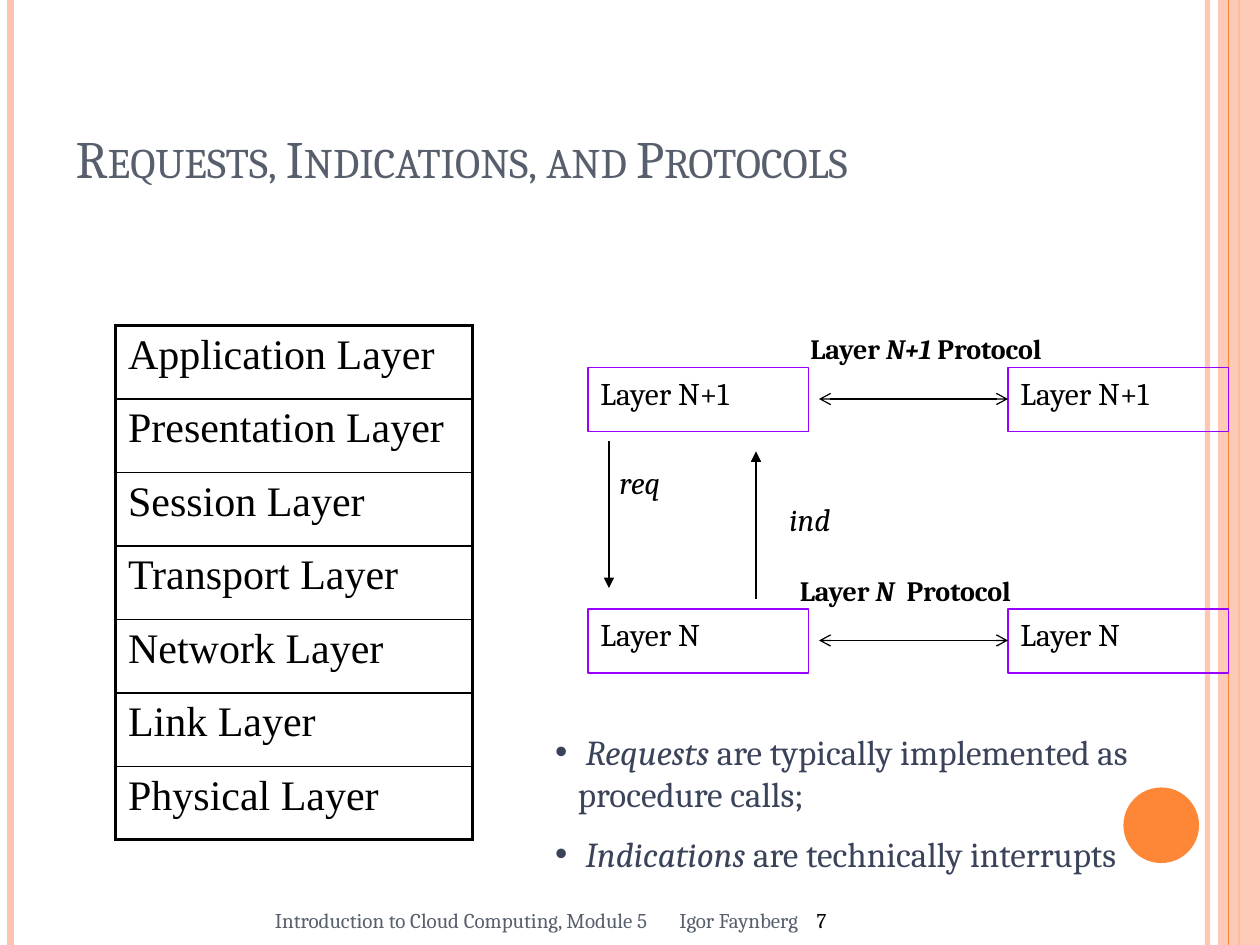
"""Build the slide on requests, indications and protocols between layers."""
from lxml import etree
from pptx import Presentation
from pptx.dml.color import RGBColor
from pptx.enum.shapes import MSO_CONNECTOR, MSO_SHAPE
from pptx.enum.text import MSO_ANCHOR, MSO_AUTO_SIZE, PP_ALIGN
from pptx.oxml.ns import qn
from pptx.util import Inches, Pt

RECT, OVAL, STRAIGHT = MSO_SHAPE.RECTANGLE, MSO_SHAPE.OVAL, MSO_CONNECTOR.STRAIGHT
TOP, MIDDLE, BOTTOM = MSO_ANCHOR.TOP, MSO_ANCHOR.MIDDLE, MSO_ANCHOR.BOTTOM
LEFT, FIXED = PP_ALIGN.LEFT, MSO_AUTO_SIZE.NONE
BLACK = RGBColor(0x00, 0x00, 0x00)
PEACH = RGBColor(0xFE, 0xC3, 0xAE)
ORANGE = RGBColor(0xFE, 0x86, 0x37)
VIOLET = RGBColor(0x99, 0x00, 0xFF)
SLATE = RGBColor(0x57, 0x5F, 0x6D)
NAVY = RGBColor(0x3B, 0x43, 0x5B)
COLUMNS, ROWS = 120, 90


def grid(*units):
    """Turn grid units of a twelfth of an inch into lengths."""
    return [Inches(unit / 12) for unit in units]


def add_child(parent, tag, **attributes):
    """Append an XML element with the given attributes."""
    return etree.SubElement(parent, qn(tag), attributes)


def fade(fill, percent):
    """Set the opacity of a solid fill."""
    colour = fill._xPr.find(".//" + qn("a:srgbClr"))
    add_child(colour, "a:alpha", val=str(percent * 1000))


class LayerSlide:
    """Hold the style and the slide, and draw each kind of element."""

    font = "Cambria"

    def __init__(self, deck):
        self.slide = deck.slides.add_slide(deck.slide_layouts[1])
        self.shapes = self.slide.shapes

    def add_runs(self, paragraph, runs, size, colour=BLACK, bold=False, font=font):
        """Add (text, italic) runs to a paragraph."""
        paragraph.alignment = LEFT
        for text, italic in runs:
            run = paragraph.add_run()
            run.text = text
            run.font.name, run.font.size = font, Pt(size)
            run.font.bold, run.font.italic = bold, italic
            run.font.color.rgb = colour

    def place(self, holder, area, anchor):
        """Move a placeholder and return its text frame."""
        holder.left, holder.top, holder.width, holder.height = grid(*area)
        frame = holder.text_frame
        frame.auto_size, frame.vertical_anchor = FIXED, anchor
        return frame

    def title(self, text, area):
        paragraph = self.place(self.shapes.title, area, BOTTOM).paragraphs[0]
        self.add_runs(paragraph, [(text, False)], 30, SLATE)
        paragraph.runs[0].font._element.set("cap", "small")

    def bullets(self, items, area):
        frame = self.place(self.slide.placeholders[1], area, TOP)
        for index, runs in enumerate(items):
            paragraph = frame.add_paragraph() if index else frame.paragraphs[0]
            paragraph.space_before = Pt(10)
            properties = paragraph._p.get_or_add_pPr()
            properties.set("marL", str(Inches(0.32)))
            properties.set("indent", str(Inches(-0.18)))
            self.add_runs(paragraph, runs, 20, NAVY)

    def label(self, runs, area, size=18, bold=False, wrap=True):
        frame = self.shapes.add_textbox(*grid(*area)).text_frame
        frame.word_wrap = wrap
        self.add_runs(frame.paragraphs[0], runs, size, bold=bold)

    def footer(self, parts, stops, area):
        frame = self.shapes.add_textbox(*grid(*area)).text_frame
        frame.word_wrap, frame.vertical_anchor = True, MIDDLE
        paragraph = frame.paragraphs[0]
        for text, colour in parts:
            self.add_runs(paragraph, [(text, False)], 12, colour)
        tabs = add_child(paragraph._p.get_or_add_pPr(), "a:tabLst")
        for stop in stops:
            add_child(tabs, "a:tab", pos=str(Inches(stop)), algn="l")

    def shape(self, kind, area, fill=None, line=None, opacity=100):
        shape = self.shapes.add_shape(kind, *grid(*area))
        shape.shadow.inherit = False
        if fill is None:
            shape.fill.background()
        else:
            shape.fill.solid()
            shape.fill.fore_color.rgb = fill
            fade(shape.fill, opacity)
        if line is None:
            shape.line.fill.background()
        else:
            shape.line.color.rgb, shape.line.width = line, Pt(0.75)
        return shape

    def box(self, text, column, row):
        frame = self.shape(RECT, (column, row, 21, 6.1), line=VIOLET).text_frame
        frame.vertical_anchor = TOP
        self.add_runs(frame.paragraphs[0], [(text, False)], 18)

    def line(self, ends, colour=BLACK, width=0.75, opacity=100, head=None, tail=None):
        line = self.shapes.add_connector(STRAIGHT, *grid(*ends))
        line.line.color.rgb, line.line.width = colour, Pt(width)
        fade(line.line.fill, opacity)
        add_child(line._element.spPr, "a:effectLst")
        for tag, arrow in (("a:headEnd", head), ("a:tailEnd", tail)):
            if arrow:
                add_child(line.line._get_or_add_ln(), tag, type=arrow)

    def stack(self, names, area):
        """Draw a one-column table with a heavy frame."""
        table = self.shapes.add_table(len(names), 1, *grid(*area)).table
        table.first_row = table.horz_banding = False
        for index, name in enumerate(names):
            cell = table.cell(index, 0)
            top = 2.25 if index == 0 else 1
            bottom = 2.25 if index == len(names) - 1 else 1
            properties = cell._tc.get_or_add_tcPr()
            for side, width in (("L", 2.25), ("R", 2.25), ("T", top), ("B", bottom)):
                border = add_child(properties, "a:ln" + side, w=str(Pt(width)))
                add_child(add_child(border, "a:solidFill"), "a:srgbClr", val=str(BLACK))
            cell.fill.background()
            self.add_runs(cell.text_frame.paragraphs[0], [(name, False)], 24,
                          font="Times New Roman")


deck = Presentation()
deck.slide_width, deck.slide_height = grid(COLUMNS, ROWS)
page = LayerSlide(deck)

for column, colour, width, opacity in ((115, PEACH, 3, 93), (1, PEACH, 4.5, 100),
                                       (118, ORANGE, 1.5, 100)):
    page.line((column, 0, column, ROWS), colour, width, opacity)
page.shape(RECT, (116, 0, 4, ROWS), PEACH, opacity=87)
page.line((117, 0, 117, ROWS), ORANGE)
page.shape(OVAL, (107, 75, 7.2, 7.2), ORANGE)
page.footer([("Introduction to Cloud Computing, Module 5\tIgor Faynberg\t", SLATE),
             ("7", BLACK)], (3.21, 4.3), (25, 85.2, 83, 4.8))

page.title("Requests, Indications, and Protocols", (6, 3.6, 98, 15))
page.stack([name + " Layer" for name in ("Application", "Presentation", "Session",
                                         "Transport", "Network", "Link", "Physical")],
           (11, 31, 34, 49))

for layer, row in (("Layer N+1", 35), ("Layer N", 58)):
    for column in (56, 96):
        page.box(layer, column, row)
    page.line((78, row + 3, 96, row + 3), head="arrow", tail="arrow")
page.line((58, 42, 58, 56), tail="triangle")
page.line((72, 57, 72, 43), tail="triangle")
page.label([("req", True)], (57.8, 43.5, 7.8, 6), wrap=False)
page.label([("ind", True)], (74, 47, 9, 6))
for level, column, row in (("N+1", 76, 31), ("N ", 75, 54)):
    page.label([("Layer ", False), (level, True), (" Protocol", False)],
               (column, row, 26, 4.4), size=16, bold=True)

page.bullets([[(" Requests ", True),
               ("are typically implemented as procedure calls;", False)],
              [(" Indications ", True), ("are technically interrupts", False)]],
             (50, 69, 68, 15.2))
deck.save("out.pptx")
